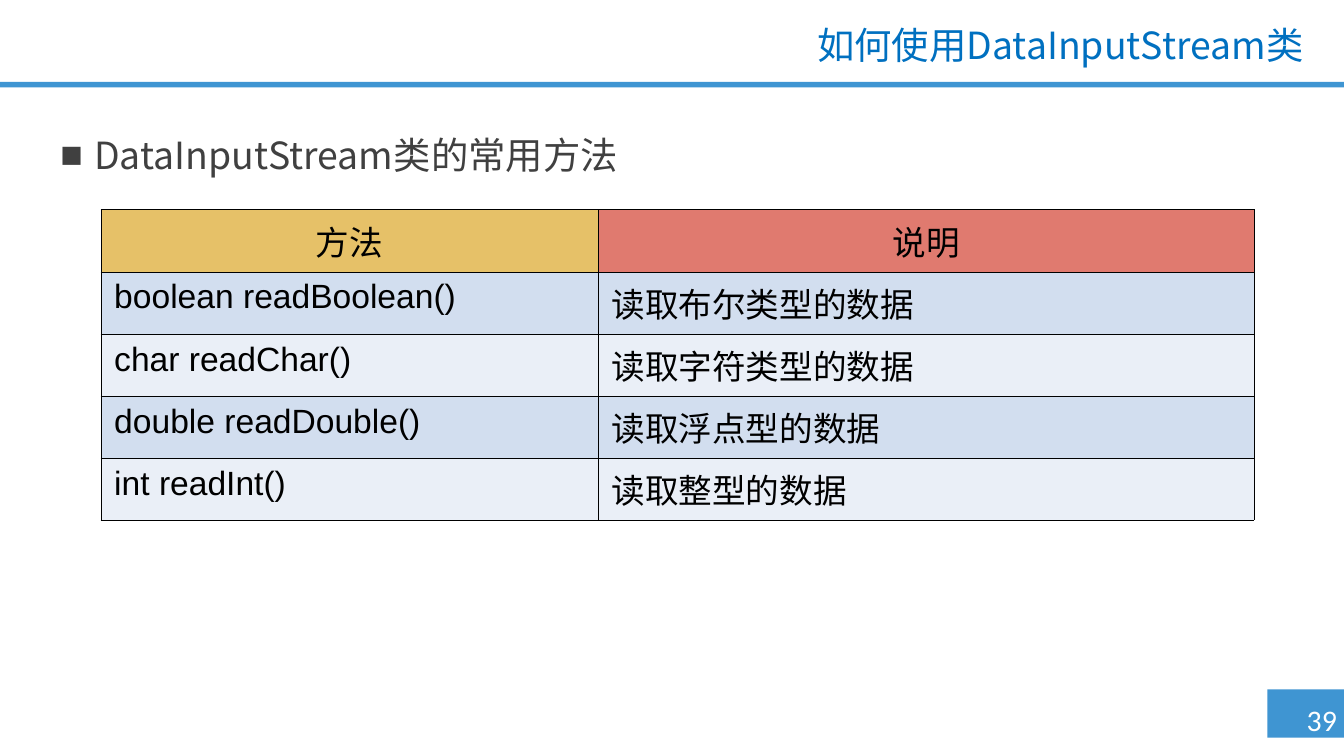
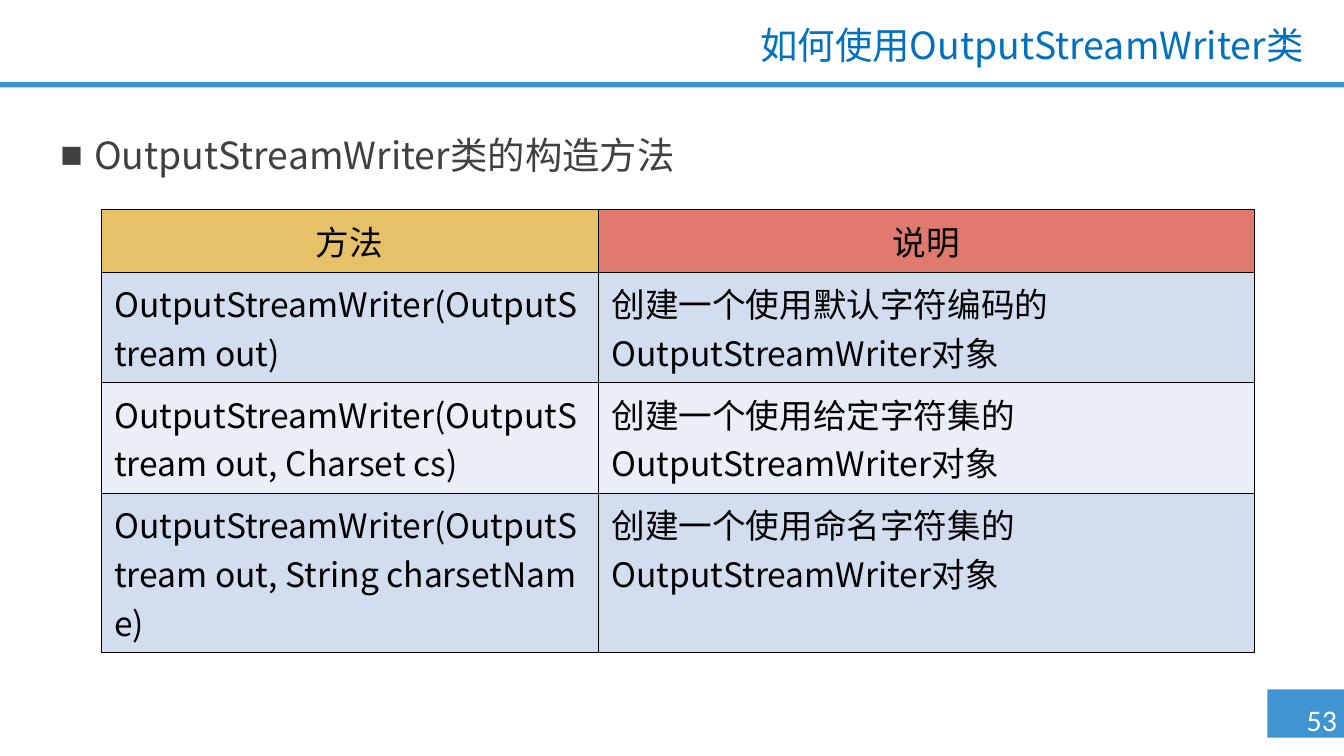
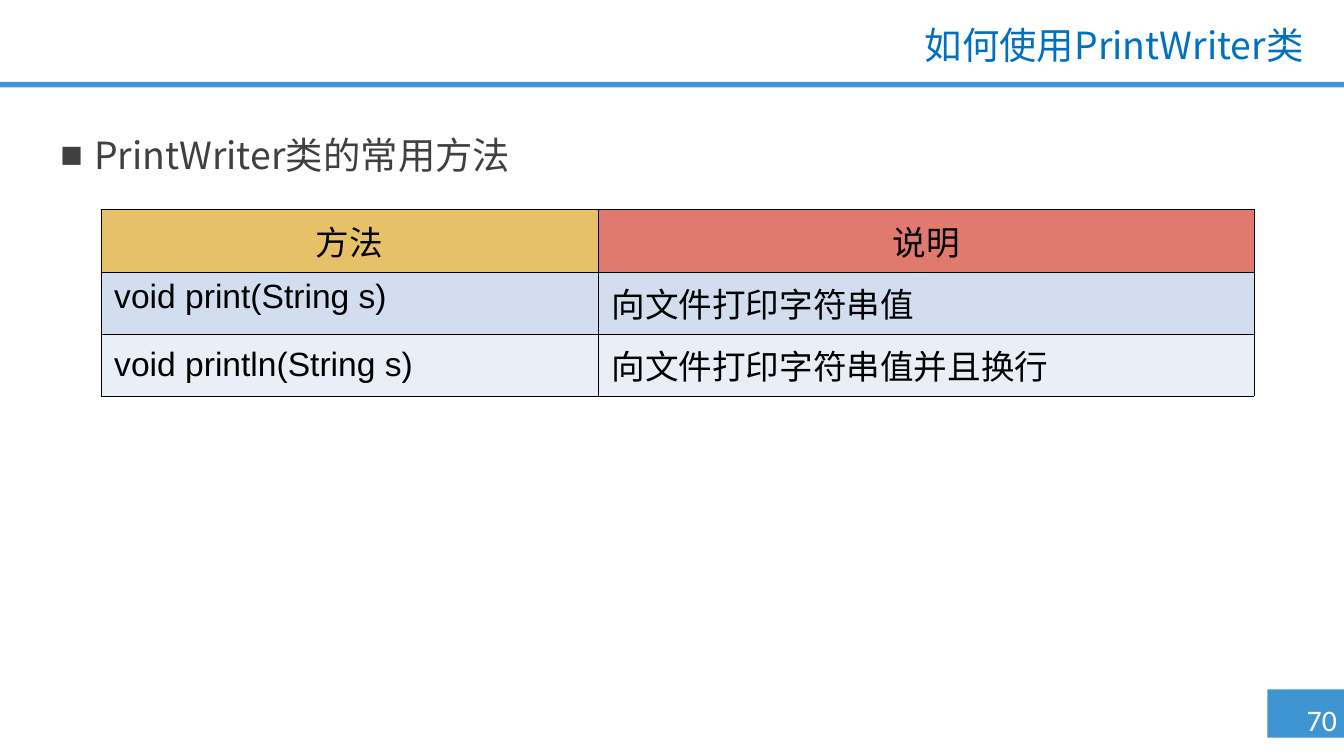
from lxml.etree import SubElement
from pptx import Presentation
from pptx.dml.color import RGBColor
from pptx.enum.shapes import MSO_SHAPE
from pptx.enum.text import MSO_ANCHOR, MSO_AUTO_SIZE, PP_ALIGN
from pptx.oxml.ns import qn
from pptx.util import Inches, Pt

BLUE, TITLE_BLUE, WHITE, BLACK, GREY = "3F95D2", "0070C0", "FFFFFF", "000000", "404040"
HEADER_FILLS = ("E6C168", "E07A6F")
ROW_FILLS = ("D2DEEF", "EAEFF7")
CJK_FONT = "Noto Sans CJK SC"
HEADINGS = ("方法", "说明")
COLUMN_WIDTHS = (3.7, 4.88)
ROW_HEIGHT = 0.41

TITLE_BOX = (2.4, 0.15, 7.4, 0.41)
BODY_BOX = (0.35, 0.92, 9.13, 0.46)
TABLE_PLACE = (0.75, 1.56)
NUMBER_BOX = (9.6, 5.17, 0.52, 0.37)
BANDS = ((9.43, 5.13, 0.57, 0.36), (0, 0.61, 10, 0.04))

PAGES = [
    dict(number=39, class_name="DataInputStream", topic="常用方法", font="Arial", rows=[
        ("boolean readBoolean()", "读取布尔类型的数据"),
        ("char readChar()", "读取字符类型的数据"),
        ("double readDouble()", "读取浮点型的数据"),
        ("int readInt()", "读取整型的数据"),
    ]),
    dict(number=53, class_name="OutputStreamWriter", topic="构造方法", font=CJK_FONT, middle_row=2, rows=[
        ("OutputStreamWriter(OutputStream out)",
         "创建一个使用默认字符编码的OutputStreamWriter对象"),
        ("OutputStreamWriter(OutputStream out, Charset cs)",
         "创建一个使用给定字符集的OutputStreamWriter对象"),
        ("OutputStreamWriter(OutputStream out, String charsetName)",
         "创建一个使用命名字符集的OutputStreamWriter对象"),
    ]),
    dict(number=70, class_name="PrintWriter", topic="常用方法", font="Arial", middle_row=2, rows=[
        ("void print(String s)", "向文件打印字符串值"),
        ("void println(String s)", "向文件打印字符串值并且换行"),
    ]),
]


def color(value):
    """Turn a hex string into a colour."""
    return RGBColor.from_string(value)


def write(para, text, size=20, font=CJK_FONT, fill=BLACK, align=PP_ALIGN.LEFT):
    """Add formatted text to a paragraph."""
    para.alignment = align
    span = para.add_run()
    span.text = text
    span.font.size = Pt(size)
    span.font.bold = False
    span.font.color.rgb = color(fill)
    span.font.name = font
    SubElement(span.font._element, qn("a:ea"), typeface=CJK_FONT)


def hang(para, indent):
    """Give a paragraph a hanging indent."""
    properties = para._p.get_or_add_pPr()
    properties.set("marL", str(Inches(indent)))
    properties.set("indent", str(-Inches(indent)))
    return properties


def move(shape, box):
    """Place a shape in a box given in inches."""
    shape.left, shape.top, shape.width, shape.height = map(Inches, box)


def add_bands(page, layout):
    """Draw the blue bands and hand them to the shared layout."""
    for box in BANDS:
        band = page.shapes.add_shape(MSO_SHAPE.RECTANGLE, *map(Inches, box))
        band.shadow.inherit = False
        band.fill.solid()
        band.fill.fore_color.rgb = color(BLUE)
        band.line.fill.background()
        layout.shapes.element.append(band.element)


def fill_title(page, box, class_name):
    """Write the right-aligned title."""
    title = page.shapes.title
    move(title, box)
    frame = title.text_frame
    frame.auto_size = MSO_AUTO_SIZE.SHAPE_TO_FIT_TEXT
    frame.vertical_anchor = MSO_ANCHOR.MIDDLE
    para = frame.paragraphs[0]
    para.line_spacing = 0.9
    hang(para, 1)
    write(para, f"如何使用{class_name}", fill=TITLE_BLUE, align=PP_ALIGN.RIGHT)
    write(para, "类", font="Roboto", fill=TITLE_BLUE, align=PP_ALIGN.RIGHT)


def fill_body(page, box, text):
    """Write the bulleted line above the table."""
    body = page.placeholders[1]
    move(body, box)
    frame = body.text_frame
    frame.auto_size = MSO_AUTO_SIZE.NONE
    frame.vertical_anchor = MSO_ANCHOR.TOP
    para = frame.paragraphs[0]
    para.line_spacing = Pt(25)
    para.space_before = Pt(10)
    SubElement(hang(para, 0.25), qn("a:buChar"), char="■")
    write(para, text, fill=GREY)


def add_number(page, box, number):
    """Write the page number on the corner band."""
    frame = page.shapes.add_textbox(*map(Inches, box)).text_frame
    frame.word_wrap = False
    frame.auto_size = MSO_AUTO_SIZE.SHAPE_TO_FIT_TEXT
    write(frame.paragraphs[0], f"{number} ", size=16, font="Calibri", fill=WHITE, align=PP_ALIGN.CENTER)


def format_cell(cell, text, fill, **style):
    """Write one cell with thin black borders and a fill."""
    properties = cell._tc.get_or_add_tcPr()
    for side in ("lnL", "lnR", "lnT", "lnB"):
        line = SubElement(properties, qn(f"a:{side}"), w=str(Pt(0.25)))
        SubElement(SubElement(line, qn("a:solidFill")), qn("a:srgbClr"), val=BLACK)
    cell.fill.solid()
    cell.fill.fore_color.rgb = color(fill)
    write(cell.text_frame.paragraphs[0], text, size=18, **style)


def join_parameters(signature):
    """Use no-break spaces inside the parameter list."""
    name, bracket, parameters = signature.partition("(")
    return name + bracket + parameters.replace(" ", chr(160))


def add_method_table(page, place, rows, font, middle_row=None):
    """Draw the table of methods and descriptions."""
    left, top = place
    count = len(rows) + 1
    size = (sum(COLUMN_WIDTHS), ROW_HEIGHT * count)
    table = page.shapes.add_table(count, 2, *map(Inches, (left, top, *size))).table
    table.first_row = table.horz_banding = False
    for column, width in zip(table.columns, COLUMN_WIDTHS):
        column.width = Inches(width)
    for index, (heading, fill) in enumerate(zip(HEADINGS, HEADER_FILLS)):
        format_cell(table.cell(0, index), heading, fill, font=font, align=PP_ALIGN.CENTER)
    for row, (signature, description) in enumerate(rows, start=1):
        fill = ROW_FILLS[(row - 1) % 2]
        format_cell(table.cell(row, 0), join_parameters(signature), fill, font=font)
        format_cell(table.cell(row, 1), description, fill, font=font)
    if middle_row:
        table.cell(middle_row, 0).vertical_anchor = MSO_ANCHOR.MIDDLE


def add_page(deck, layout, number, class_name, topic, **table):
    """Build one page about the methods of a class."""
    page = deck.slides.add_slide(layout)
    fill_title(page, TITLE_BOX, class_name)
    fill_body(page, BODY_BOX, f"{class_name}类的{topic}")
    add_method_table(page, TABLE_PLACE, **table)
    add_number(page, NUMBER_BOX, number)
    return page


def main():
    """Build and save the deck."""
    deck = Presentation()
    deck.slide_width = Inches(10)
    deck.slide_height = deck.slide_width * 9 // 16
    layout = deck.slide_layouts[1]
    pages = [add_page(deck, layout, **content) for content in PAGES]
    add_bands(pages[0], layout)
    deck.save("out.pptx")


if __name__ == "__main__":
    main()
